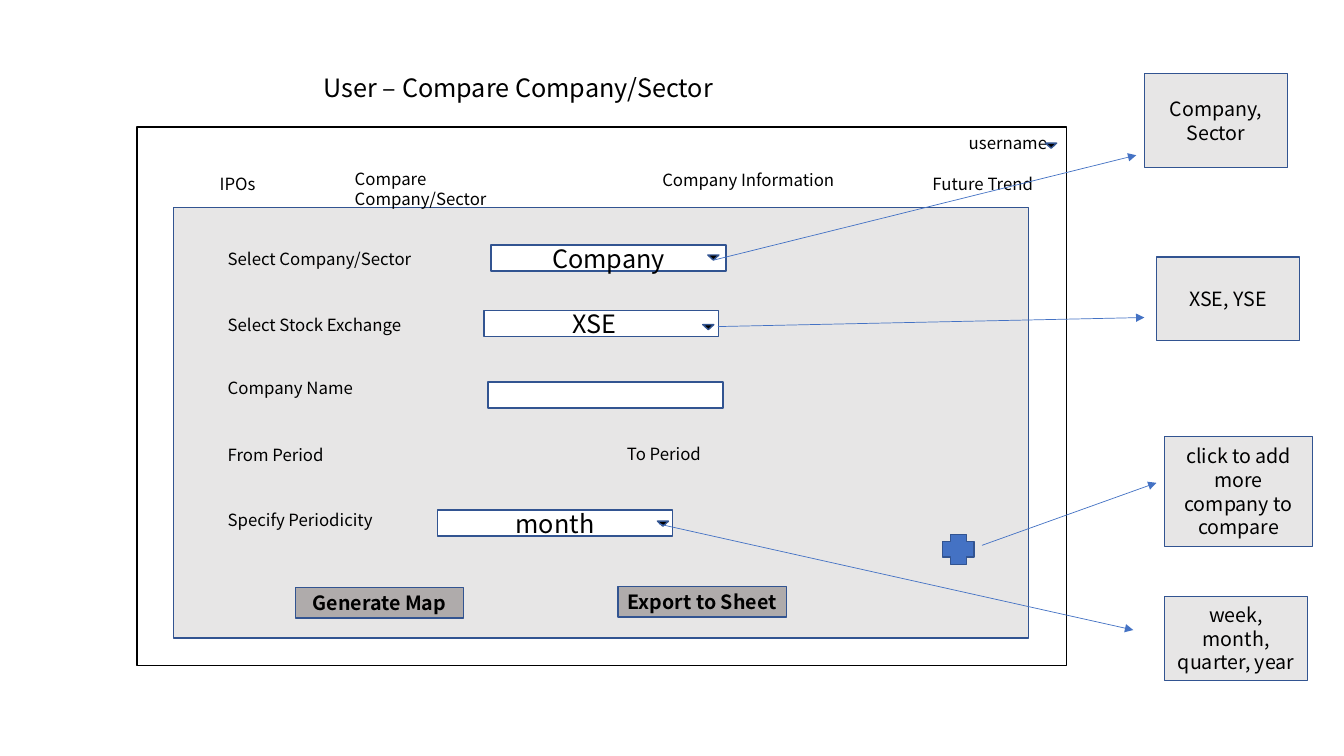
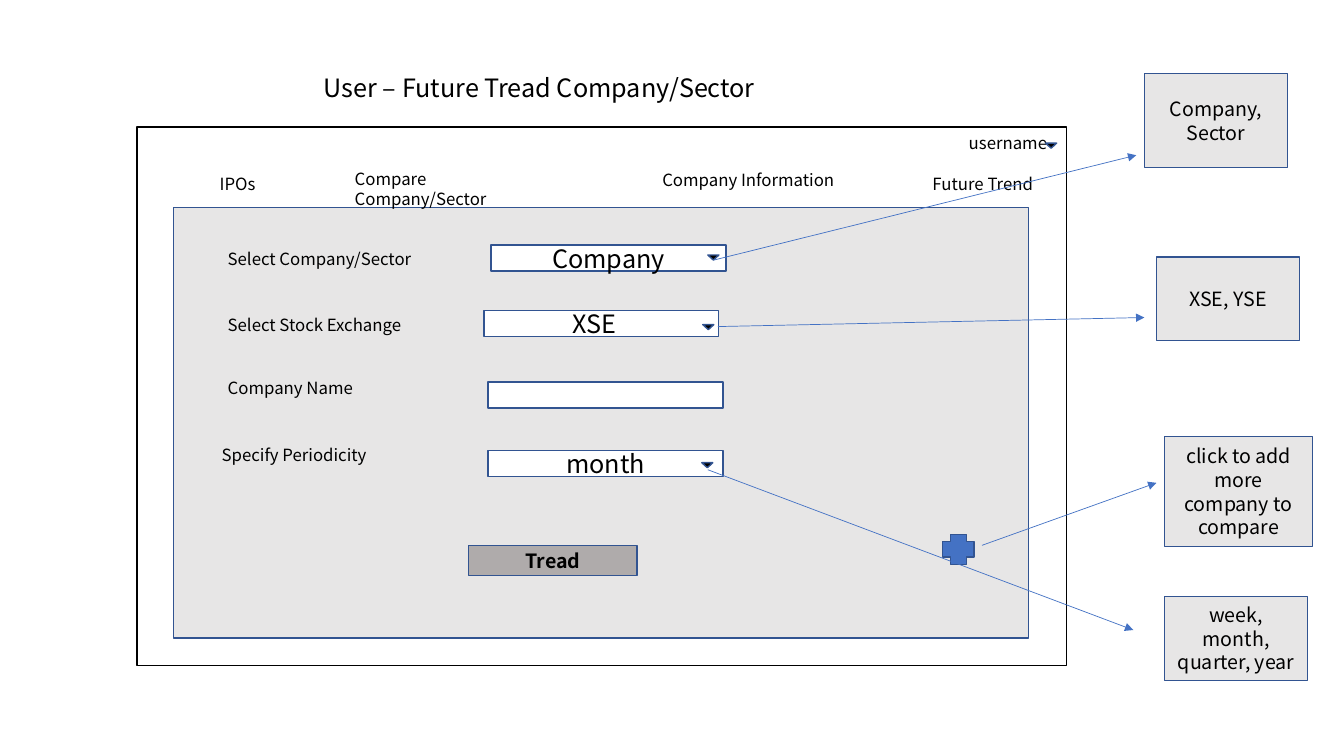
from lxml.etree import SubElement
from pptx import Presentation
from pptx.dml.color import RGBColor
from pptx.enum.shapes import MSO_CONNECTOR, MSO_SHAPE as SHAPE
from pptx.enum.text import MSO_ANCHOR as ANCHOR, PP_ALIGN as ALIGN
from pptx.oxml.ns import qn
from pptx.util import Inches, Pt

FONT = "Noto Sans CJK SC"
BLACK, WHITE, GREY, DARK_GREY = "000000", "FFFFFF", "E7E6E6", "AFABAB"
BLUE, OUTLINE = "4472C4", "325491"
rgb = RGBColor.from_string


def write(tf, text, size, align=ALIGN.LEFT, anchor=ANCHOR.TOP, bold=False):
    tf.word_wrap = True
    tf.vertical_anchor = anchor
    tf.text = text
    for p in tf.paragraphs:
        p.alignment = align
        fmt = {"name": FONT, "size": Pt(size), "bold": bold}
        for key, value in fmt.items():
            setattr(p.font, key, value)
        p.font.color.rgb = rgb(BLACK)


def add_box(s, place, fill, text="", size=14, kind=SHAPE.RECTANGLE, line=OUTLINE, bold=False):
    sp = s.shapes.add_shape(kind, *map(Inches, place))
    sp.shadow.inherit = False
    sp.fill.solid()
    sp.fill.fore_color.rgb = rgb(fill)
    sp.line.color.rgb = rgb(line)
    sp.line.width = Pt(1)
    if text:
        write(sp.text_frame, text, size, ALIGN.CENTER, ANCHOR.MIDDLE, bold)
    return sp


MENU = [
    ("IPOs", 2.08, 1.67, 1.07),
    ("Compare Company/Sector", 3.42, 1.62, 2.2),
    ("Company Information", 6.47, 1.63, 1.95),
    ("Future Trend", 9.15, 1.67, 1.75),
    ("username", 9.51, 1.27, 1.07),
]
LABELS = [
    ("Select Company/Sector", 2.16, 2.42, 2.09),
    ("Select Stock Exchange", 2.16, 3.07, 2.09),
    ("Company Name", 2.16, 3.7, 2.09),
]
FIELDS = [("Company", 4.87, 2.43), ("XSE", 4.8, 3.08), ("", 4.84, 3.79)]
CARETS = [(10.37, 1.42), (7.02, 2.53), (6.97, 3.22)]
ARROWS = [
    (7.08, 2.58, 11.27, 1.54),
    (7.12, 3.24, 11.35, 3.15),
    (9.74, 5.41, 11.47, 4.79),
]
NOTES = [
    ("Company, Sector", 11.35, 0.73, 1.42, 0.93),
    ("XSE, YSE", 11.47, 2.55, 1.42, 0.83),
    ("click to add more company to compare", 11.55, 4.33, 1.47, 1.09),
    ("week, month,\nquarter, year", 11.55, 5.92, 1.42, 0.83),
]
SCREENS = [
    {
        "title": "User – Compare Company/Sector",
        "labels": [
            ("From Period", 2.16, 4.36, 2.09),
            ("To Period", 6.12, 4.35, 2.09),
            ("Specify Periodicity", 2.16, 5.01, 2.09),
        ],
        "period": ("month", 4.34, 5.06),
        "caret": (6.52, 5.17),
        "arrow": (6.54, 5.2, 11.24, 6.25),
        "buttons": [("Generate Map", 2.93, 5.83), ("Export to Sheet", 6.13, 5.82)],
    },
    {
        "title": "User – Future Tread Company/Sector",
        "labels": [("Specify Periodicity", 2.1, 4.36, 2.09)],
        "period": ("month", 4.84, 4.47),
        "caret": (6.96, 4.59),
        "arrow": (7.02, 4.66, 11.24, 6.25),
        "buttons": [("Tread", 4.65, 5.41)],
    },
]

prs = Presentation()
prs.slide_width, prs.slide_height = Inches(13.33), Inches(7.5)

for screen in SCREENS:
    s = prs.slides.add_slide(prs.slide_layouts[5])
    title = s.shapes.title
    place = {"left": 3.11, "top": 0.67, "width": 5.7, "height": 0.4}
    for key, value in place.items():
        setattr(title, key, Inches(value))
    write(title.text_frame, screen["title"], 18)

    add_box(s, (1.36, 1.26, 9.22, 5.34), WHITE, line=BLACK)
    add_box(s, (1.72, 2.06, 8.48, 4.27), GREY)

    for text, x, y, w in MENU + LABELS + screen["labels"]:
        tb = s.shapes.add_textbox(*map(Inches, (x, y, w, 0.3)))
        write(tb.text_frame, text, 12)

    for text, x, y in FIELDS + [screen["period"]]:
        field = add_box(s, (x, y, 2.33, 0.26), WHITE, text, 18)
        if text == "XSE":
            field.text_frame.margin_right = Inches(0.24)

    for x, y in CARETS + [screen["caret"]]:
        caret = add_box(s, (x, y, 0.11, 0.05), BLACK, kind=SHAPE.ISOSCELES_TRIANGLE)
        caret.rotation = 180

    add_box(s, (9.35, 5.3, 0.31, 0.3), BLUE, kind=SHAPE.CROSS)

    for text, x, y in screen["buttons"]:
        button = add_box(s, (x, y, 1.67, 0.3), DARK_GREY, text, bold=True)
        for side in ("margin_left", "margin_right"):
            setattr(button.text_frame, side, Inches(0.02))

    for ends in ARROWS + [screen["arrow"]]:
        arrow = s.shapes.add_connector(MSO_CONNECTOR.STRAIGHT, *map(Inches, ends))
        arrow.line.color.rgb = rgb(BLUE)
        arrow.line.width = Pt(0.5)
        props = arrow._element.spPr
        SubElement(props.find(qn("a:ln")), qn("a:tailEnd"), type="triangle")
        SubElement(props, qn("a:effectLst"))

    for text, *place in NOTES:
        add_box(s, place, GREY, text)

prs.save("out.pptx")
